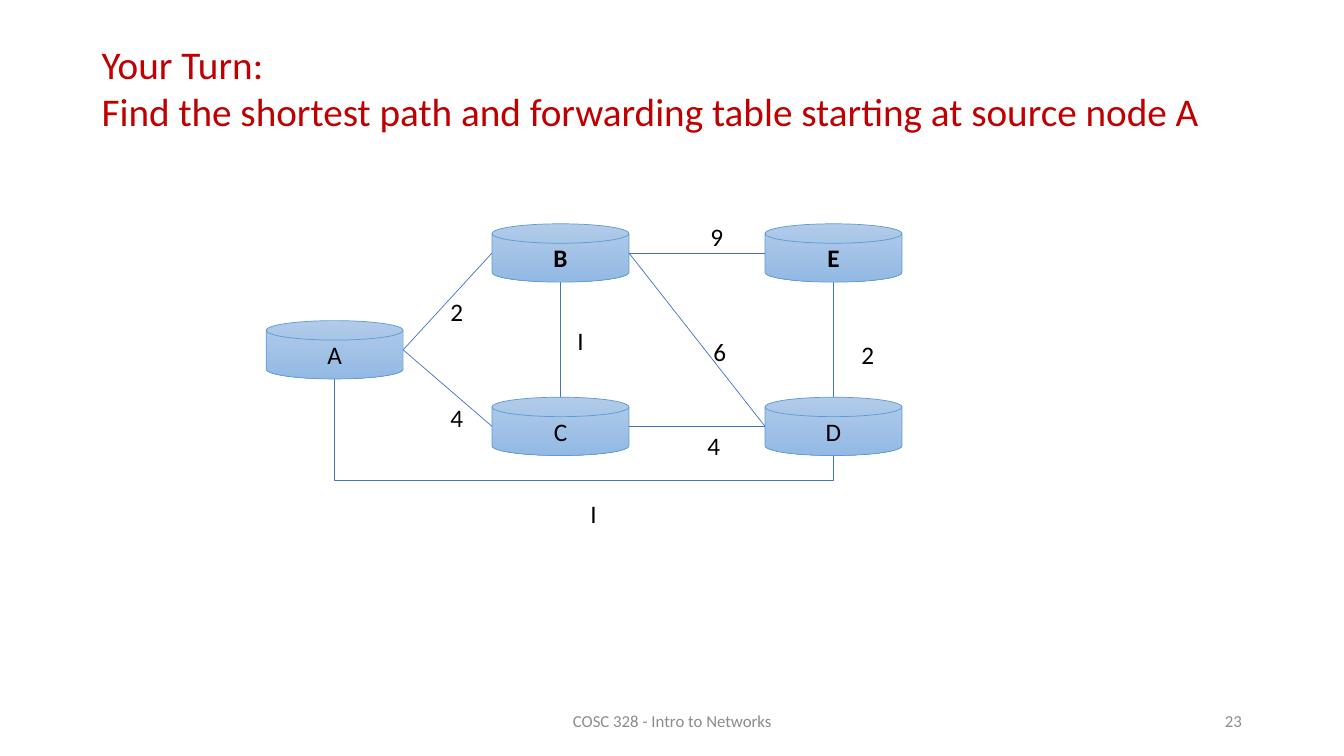
from lxml import etree
from pptx import Presentation
from pptx.dml.color import RGBColor
from pptx.enum.shapes import MSO_CONNECTOR, MSO_SHAPE
from pptx.enum.text import MSO_ANCHOR, PP_ALIGN
from pptx.oxml.ns import qn
from pptx.util import Cm, Pt

DISK = MSO_SHAPE.FLOWCHART_MAGNETIC_DISK
STRAIGHT, ELBOW = MSO_CONNECTOR.STRAIGHT, MSO_CONNECTOR.ELBOW
LEFT, CENTER, RIGHT = PP_ALIGN.LEFT, PP_ALIGN.CENTER, PP_ALIGN.RIGHT
TOP, MIDDLE = MSO_ANCHOR.TOP, MSO_ANCHOR.MIDDLE

FONT = "Calibri"
BLACK, RED, GREY = "000000", "C00000", "8C8C8C"
ROUTER_TOP, ROUTER_BOTTOM, ROUTER_EDGE = "B1CBE9", "93B9E4", "5B9BD5"
LINK_BLUE = "4472C4"

# All lengths are in centimetres
ROUTER_W, ROUTER_H = 3.45, 1.47
BEND_DEPTH = 2.55
UPPER, MIDWAY, LOWER = 5.64, 8.08, 10.01
ROUTERS = {
    "A": (6.71, MIDWAY),
    "B": (12.4, UPPER),
    "C": (12.4, LOWER),
    "E": (19.28, UPPER),
    "D": (19.28, LOWER),
}
BOLD_ROUTERS = "BE"
# From router and side, to router and side, cost, left and top of the cost
LINKS = [
    ("A", "right", "C", "left", "4", 11.1, 10.01),
    ("A", "right", "B", "left", "2", 11.1, 7.34),
    ("B", "bottom", "C", "top", "I", 14.3, 8.08),
    ("B", "right", "E", "left", "9", 17.65, 5.44),
    ("B", "right", "D", "left", "6", 17.73, 8.36),
    ("C", "right", "D", "left", "4", 17.58, 10.72),
    ("E", "bottom", "D", "top", "2", 21.46, 8.43),
    ("A", "bottom", "D", "bottom", "I", 14.63, 12.42),
]


def rgb(hex_code):
    return RGBColor.from_string(hex_code)


def write(shape, lines, size, color, align=LEFT, anchor=TOP, bold=False, wrap=True):
    frame = shape.text_frame
    frame.word_wrap = wrap
    frame.vertical_anchor = anchor
    for i, line in enumerate(lines):
        paragraph = frame.add_paragraph() if i else frame.paragraphs[0]
        paragraph.alignment = align
        run = paragraph.add_run()
        run.text = line
        run.font.name, run.font.size, run.font.bold = FONT, Pt(size), bold
        run.font.color.rgb = rgb(color)


def add_text(slide, box, lines, size, color, **layout):
    write(slide.shapes.add_textbox(*map(Cm, box)), lines, size, color, **layout)


def add_router(slide, name, left, top):
    router = slide.shapes.add_shape(
        DISK, Cm(left), Cm(top), Cm(ROUTER_W), Cm(ROUTER_H))
    router.shadow.inherit = False
    router.fill.gradient()
    router.fill.gradient_angle = 270
    for stop, color in zip(router.fill.gradient_stops, (ROUTER_TOP, ROUTER_BOTTOM)):
        stop.color.rgb = rgb(color)
    router.line.color.rgb = rgb(ROUTER_EDGE)
    router.line.width = Pt(0.5)
    write(router, [name], 18, BLACK, CENTER, MIDDLE, name in BOLD_ROUTERS)


def side_point(name, side):
    left, top = ROUTERS[name]
    dx, dy = {"left": (0, 0.5), "right": (1, 0.5),
              "top": (0.5, 0), "bottom": (0.5, 1)}[side]
    return left + dx * ROUTER_W, top + dy * ROUTER_H


def add_link(slide, kind, start, end):
    link = slide.shapes.add_connector(kind, *map(Cm, (*start, *end)))
    link.line.color.rgb = rgb(LINK_BLUE)
    link.line.width = Pt(0.5)
    etree.SubElement(link._element.spPr, qn("a:effectLst"))
    return link


def add_link_below(slide, start, end):
    """Link two router bottoms by an elbow that runs beneath both."""
    (x1, y1), (x2, y2) = start, end
    mid_x, mid_y = (x1 + x2) / 2, (y1 + y2) / 2
    half_w, half_h = (x2 - x1) / 2, (y2 - y1) / 2
    # The elbow is laid out upright, then turned by 270 degrees
    link = add_link(slide, ELBOW, (mid_x + half_h, mid_y - half_w),
                    (mid_x - half_h, mid_y + half_w))
    props = link._element.spPr
    props.find(qn("a:xfrm")).set("rot", str(270 * 60000))
    adjustments = props.find(qn("a:prstGeom")).find(qn("a:avLst"))
    ratio = round(BEND_DEPTH / (y2 - y1) * 100000)
    etree.SubElement(adjustments, qn("a:gd"), name="adj1", fmla=f"val {ratio}")


def main():
    prs = Presentation()
    prs.slide_width, prs.slide_height = Cm(33.87), Cm(19.05)
    slide = prs.slides.add_slide(prs.slide_layouts[6])

    # Title
    add_text(slide, (2.31, 0.89, 30.53, 2.64),
             ["Your Turn:",
              "Find the shortest path and forwarding table starting at source node A"],
             28, RED)

    # Network: routers, links and link costs
    for name, (left, top) in ROUTERS.items():
        add_router(slide, name, left, top)
    for origin, out_side, target, in_side, cost, left, top in LINKS:
        start, end = side_point(origin, out_side), side_point(target, in_side)
        if out_side == in_side:
            add_link_below(slide, start, end)
        else:
            add_link(slide, STRAIGHT, start, end)
        cost_width = 0.69 if cost == "I" else 0.84
        add_text(slide, (left, top, cost_width, 1.02), [cost], 18, BLACK, wrap=False)

    # Footer
    add_text(slide, (11.23, 17.65, 11.43, 1.02), ["COSC 328 - Intro to Networks"],
             12, GREY, align=CENTER, anchor=MIDDLE)
    add_text(slide, (23.93, 17.65, 7.62, 1.02), ["23"],
             12, GREY, align=RIGHT, anchor=MIDDLE)

    prs.save("out.pptx")


if __name__ == "__main__":
    main()
